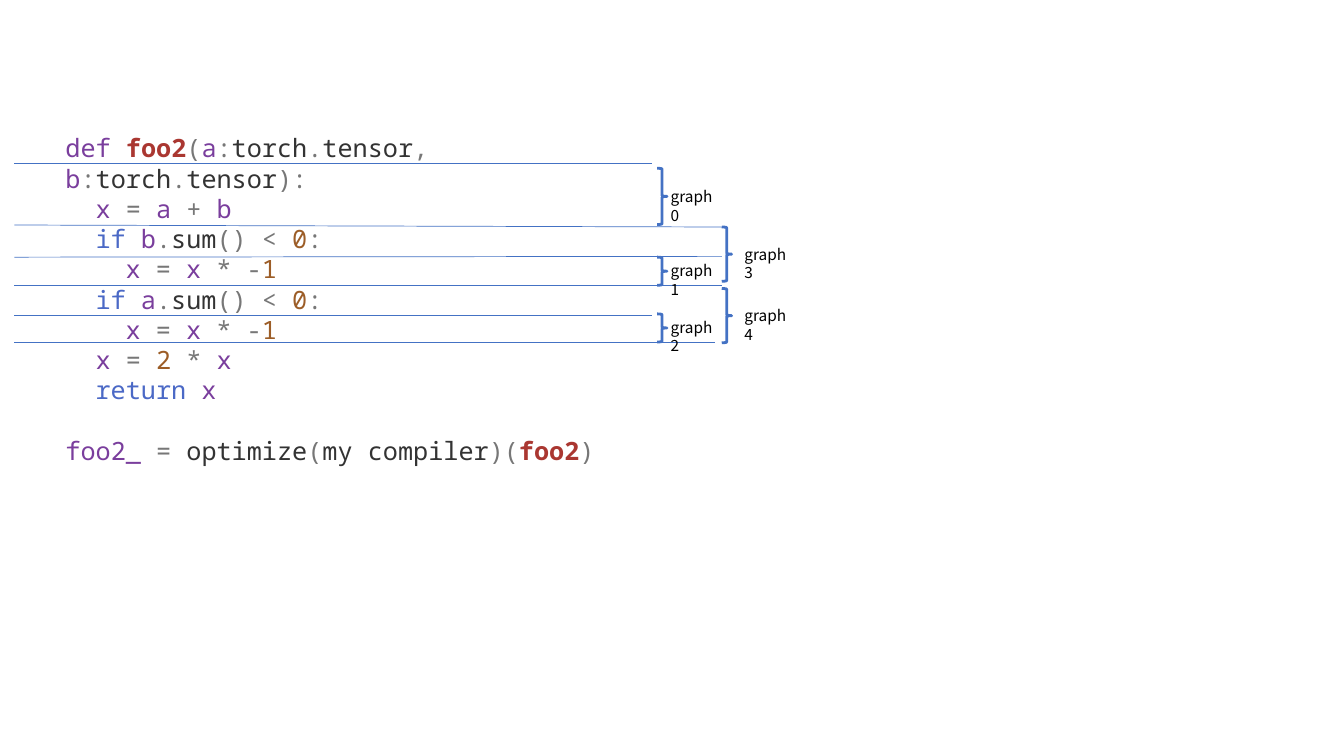
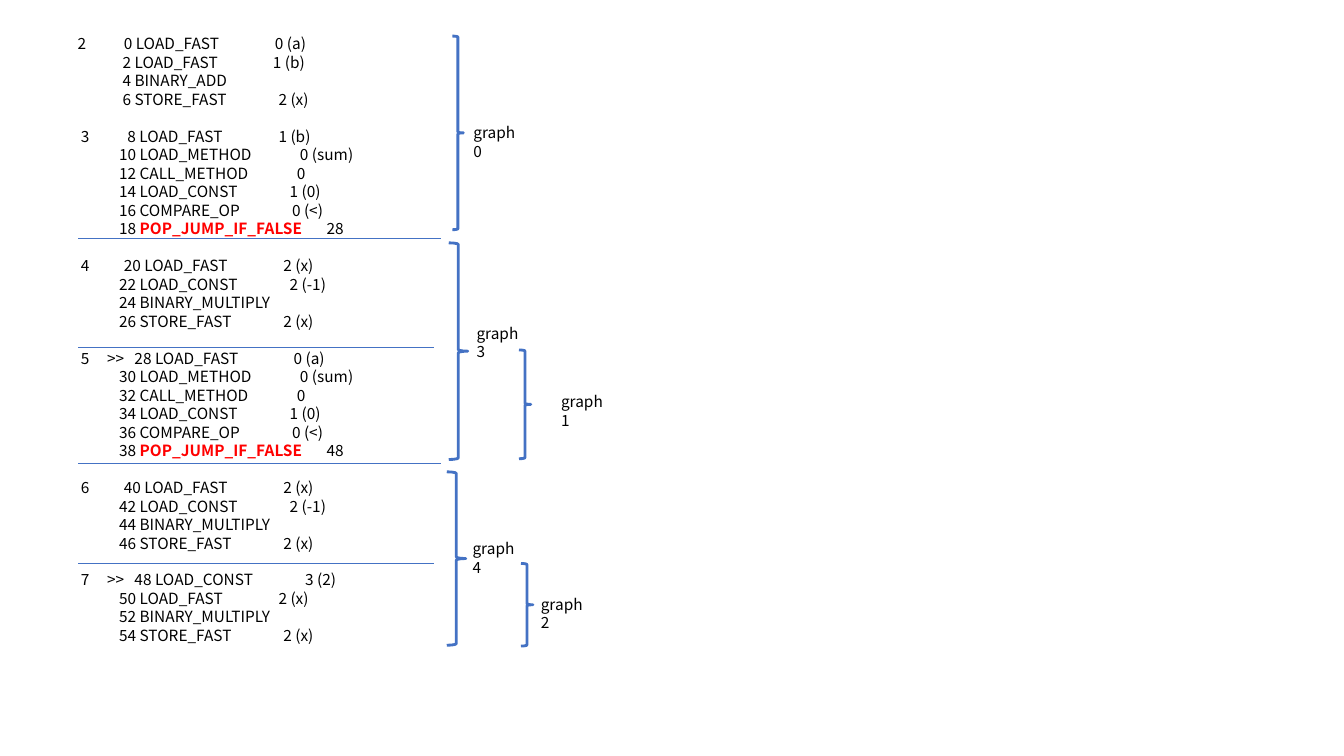
from itertools import groupby

from lxml import etree
from pptx import Presentation
from pptx import util as u
from pptx.dml.color import RGBColor
from pptx.enum import shapes, text
from pptx.oxml.ns import qn

ACCENT = RGBColor(0x44, 0x72, 0xC4)
BLACK = RGBColor(0x00, 0x00, 0x00)
ALERT = RGBColor(0xFF, 0x00, 0x00)
VIOLET = RGBColor(0x7A, 0x3E, 0x9D)
CRIMSON = RGBColor(0xAA, 0x37, 0x31)
GREY = RGBColor(0x77, 0x77, 0x77)
CHARCOAL = RGBColor(0x33, 0x33, 0x33)
BLUE = RGBColor(0x4B, 0x69, 0xC6)
BROWN = RGBColor(0x9C, 0x5D, 0x27)

SANS, MONO = "Noto Sans CJK SC", "Noto Sans Mono"
SMALL, LARGE = 11, 18
LEADING = 1.2
INDENT = 0.76
JUMP = "POP_JUMP_IF_FALSE"

TOKEN_INK = {"foo2": CRIMSON, "if": BLUE, "return": BLUE}
TOKEN_INK |= dict.fromkeys(("torch", "tensor", "sum", "optimize", "my", "compiler"), CHARCOAL)

CODE = [
    (0, "def foo2(a:torch.tensor, b:torch.tensor):"),
    (1, "x = a + b"),
    (1, "if b.sum() < 0:"),
    (2, "x = x * -1"),
    (1, "if a.sum() < 0:"),
    (2, "x = x * -1"),
    (1, "x = 2 * x"),
    (1, "return x"),
    (0, "foo2_ = optimize(my compiler)(foo2)"),
]
CODE_RULES = [
    (4.11, 16.43, 4.11),
    (5.67, 18.19, 5.72),
    (6.48, 18.19, 6.46),
    (7.19, 18.19, 7.19),
    (7.95, 16.43, 7.95),
    (8.62, 18.01, 8.62),
]
CODE_GRAPHS = [
    ("graph0", (16.56, 4.24, 0.25, 1.42), (16.65, 4.6)),
    ("graph1", (16.56, 6.48, 0.25, 0.71), (16.65, 6.46)),
    ("graph2", (16.56, 7.91, 0.25, 0.71), (16.65, 7.89)),
    ("graph3", (18.19, 5.72, 0.25, 1.37), (18.51, 6.05)),
    ("graph4", (18.19, 7.27, 0.25, 1.37), (18.51, 7.6)),
]


def condition(first, target):
    """Return the rows that test a sum and jump, numbered from first."""
    return [
        {1.12: f"{first} LOAD_METHOD", 5.68: "0 (sum)"},
        {1.12: f"{first + 2} CALL_METHOD", 5.6: "0"},
        {1.12: f"{first + 4} LOAD_CONST", 5.42: "1 (0)"},
        {1.12: f"{first + 6} COMPARE_OP", 5.48: "0 (<)"},
        {1.12: f"{first + 8} {JUMP}", 6.35: f"{target}"},
    ]


def negation(line, first):
    """Return the rows that multiply x by minus one."""
    return [
        {0.16: line, 1.24: f"{first} LOAD_FAST", 5.26: "2 (x)"},
        {1.12: f"{first + 2} LOAD_CONST", 5.42: "2 (-1)"},
        {1.12: f"{first + 4} BINARY_MULTIPLY"},
        {1.12: f"{first + 6} STORE_FAST", 5.26: "2 (x)"},
    ]


BYTECODE = [
    [
        {0.08: "2", 1.24: "0 LOAD_FAST", 5.05: "0 (a)"},
        {1.21: "2 LOAD_FAST", 5.0: "1 (b)"},
        {1.21: "4 BINARY_ADD"},
        {1.21: "6 STORE_FAST", 5.14: "2 (x)"},
    ],
    [{0.16: "3", 1.33: "8 LOAD_FAST", 5.14: "1 (b)"}, *condition(10, 28)],
    negation("4", 20),
    [{0.16: "5", 0.82: ">>", 1.51: "28 LOAD_FAST", 5.52: "0 (a)"}, *condition(30, 48)],
    negation("6", 40),
    [
        {0.16: "7", 0.82: ">>", 1.51: "48 LOAD_CONST", 5.81: "3 (2)"},
        {1.12: "50 LOAD_FAST", 5.14: "2 (x)"},
        {1.12: "52 BINARY_MULTIPLY"},
        {1.12: "54 STORE_FAST", 5.26: "2 (x)"},
    ],
]
BYTECODE_RULES = [(6.0, 11.11), (8.76, 10.93), (11.68, 11.11), (14.2, 10.93)]
BYTECODE_GRAPHS = [
    ("graph0", (11.4, 0.91, 0.28, 4.88), (11.68, 2.99)),
    ("graph1", (13.08, 8.82, 0.3, 2.74), (13.89, 9.76)),
    ("graph2", (13.13, 14.2, 0.3, 2.08), (13.38, 14.86)),
    ("graph3", (11.31, 6.12, 0.48, 5.46), (11.76, 8.04)),
    ("graph4", (11.26, 11.89, 0.48, 4.37), (11.66, 13.47)),
]


class Sketch:
    """Holds the deck, its style and the current page."""

    def __init__(self):
        """Start an empty widescreen deck."""
        self.deck = Presentation()
        self.deck.slide_width, self.deck.slide_height = u.Cm(33.87), u.Cm(19.05)
        self.page = None

    def new_page(self):
        """Add a blank page and make it current."""
        self.page = self.deck.slides.add_slide(self.deck.slide_layouts[6])

    def frame(self, left, top, width, height):
        """Add a wrapping text box and return its text frame."""
        box = self.page.shapes.add_textbox(*map(u.Cm, (left, top, width, height)))
        box.text_frame.word_wrap = True
        box.text_frame.auto_size = text.MSO_AUTO_SIZE.NONE
        return box.text_frame

    def paragraph(self, frame, font, size, gap=False, indent=0, stops=()):
        """Return the next paragraph, with an optional line's gap above it."""
        first = frame.paragraphs[0]
        para = frame.add_paragraph() if first.runs else first
        para.line_spacing = u.Pt(size * LEADING)
        para.space_before = u.Pt(size * LEADING if gap else 0)
        settings = para._p.get_or_add_pPr()
        if indent:
            settings.set("marL", str(u.Cm(indent)))
        if stops:
            tabs = etree.SubElement(settings, qn("a:tabLst"))
            for stop in stops:
                etree.SubElement(tabs, qn("a:tab"), pos=str(u.Cm(stop)), algn="l")
        para.font.name, para.font.size = font, u.Pt(size)
        para.font.color.rgb = BLACK
        return para

    def span(self, para, words, colour=None, bold=False):
        """Add a run, coloured or bold where asked."""
        span = para.add_run()
        span.text = words
        if colour is not None:
            span.font.color.rgb = colour
        if bold:
            span.font.bold = True

    def code(self, lines, place):
        """Write syntax-coloured source code."""
        frame = self.frame(*place)
        for number, (depth, line) in enumerate(lines):
            gap = number == len(lines) - 1
            para = self.paragraph(frame, MONO, LARGE, gap, depth * INDENT)
            for is_word, letters in groupby(line, lambda c: c.isalnum() or c == "_"):
                token = "".join(letters)
                if not is_word:
                    colour = GREY
                elif token.isdigit():
                    colour = BROWN
                else:
                    colour = TOKEN_INK.get(token, VIOLET)
                self.span(para, token, colour, bold=token == "foo2")

    def listing(self, blocks, place):
        """Write bytecode rows, each cell at its own tab stop."""
        frame = self.frame(*place)
        for block_number, block in enumerate(blocks):
            for row_number, row in enumerate(block):
                gap = block_number > 0 and row_number == 0
                para = self.paragraph(frame, SANS, SMALL, gap, stops=row)
                before, jump, after = "".join(f"\t{cell}" for cell in row.values()).partition(JUMP)
                self.span(para, before)
                if jump:
                    self.span(para, jump, ALERT, bold=True)
                    self.span(para, after)

    def rule(self, left, top, right, bottom):
        """Draw a thin dividing line."""
        line = self.page.shapes.add_connector(
            shapes.MSO_CONNECTOR.STRAIGHT, *map(u.Cm, (left, top, right, bottom)))
        line.line.color.rgb, line.line.width = ACCENT, u.Pt(0.5)
        etree.SubElement(line._element.spPr, qn("a:effectLst"))

    def graph(self, name, brace_place, label_place):
        """Draw a right brace and its graph label."""
        brace = self.page.shapes.add_shape(
            shapes.MSO_SHAPE.RIGHT_BRACE, *map(u.Cm, brace_place))
        brace.shadow.inherit = False
        brace.fill.background()
        brace.line.color.rgb, brace.line.width = ACCENT, u.Pt(2)
        frame = self.frame(*label_place, 1.66, 0.74)
        self.span(self.paragraph(frame, SANS, SMALL), name)


def main():
    """Build both pages and save the deck."""
    sketch = Sketch()

    sketch.new_page()
    sketch.code(CODE, (1.4, 3.22, 15.24, 7.95))
    for top, right, bottom in CODE_RULES:
        sketch.rule(0.36, top, right, bottom)
    for graph in CODE_GRAPHS:
        sketch.graph(*graph)

    sketch.new_page()
    sketch.listing(BYTECODE, (1.63, 0.74, 9.5, 16.26))
    for top, right in BYTECODE_RULES:
        sketch.rule(1.97, top, right, top)
    for graph in BYTECODE_GRAPHS:
        sketch.graph(*graph)

    sketch.deck.save("out.pptx")


if __name__ == "__main__":
    main()
